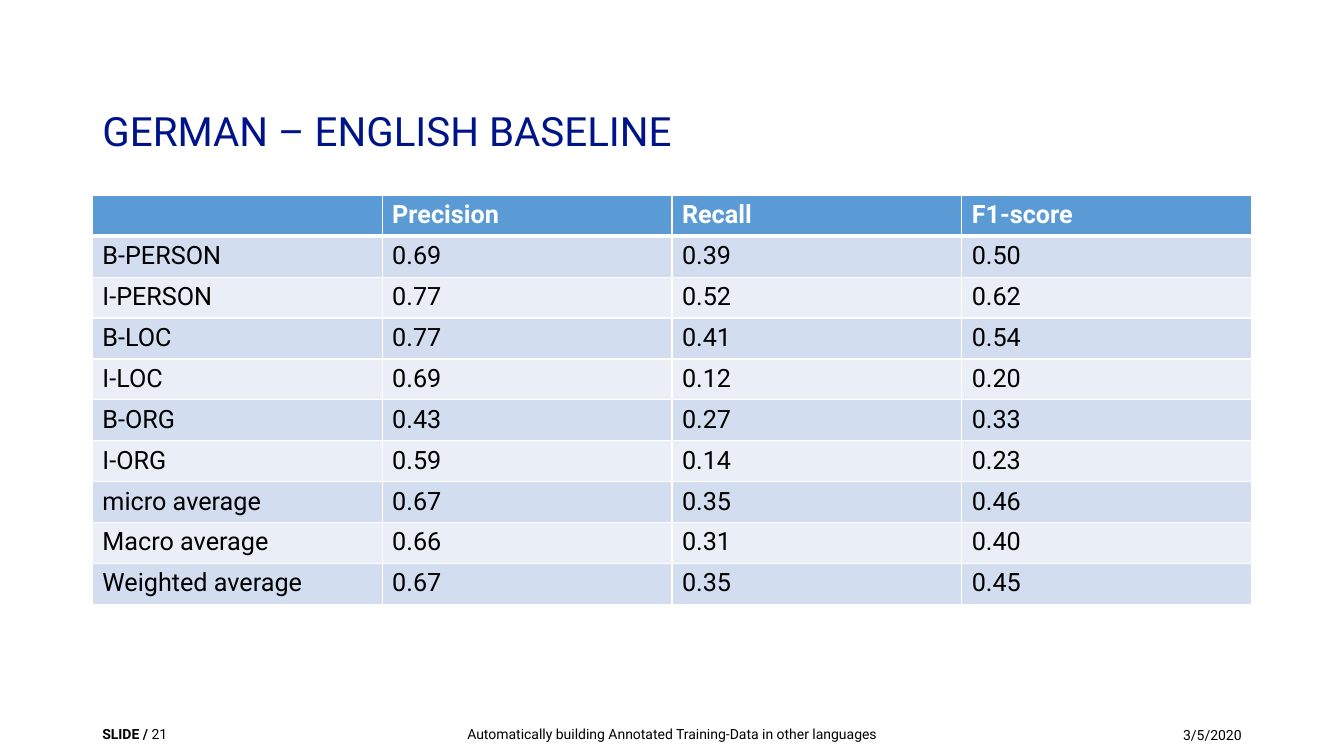
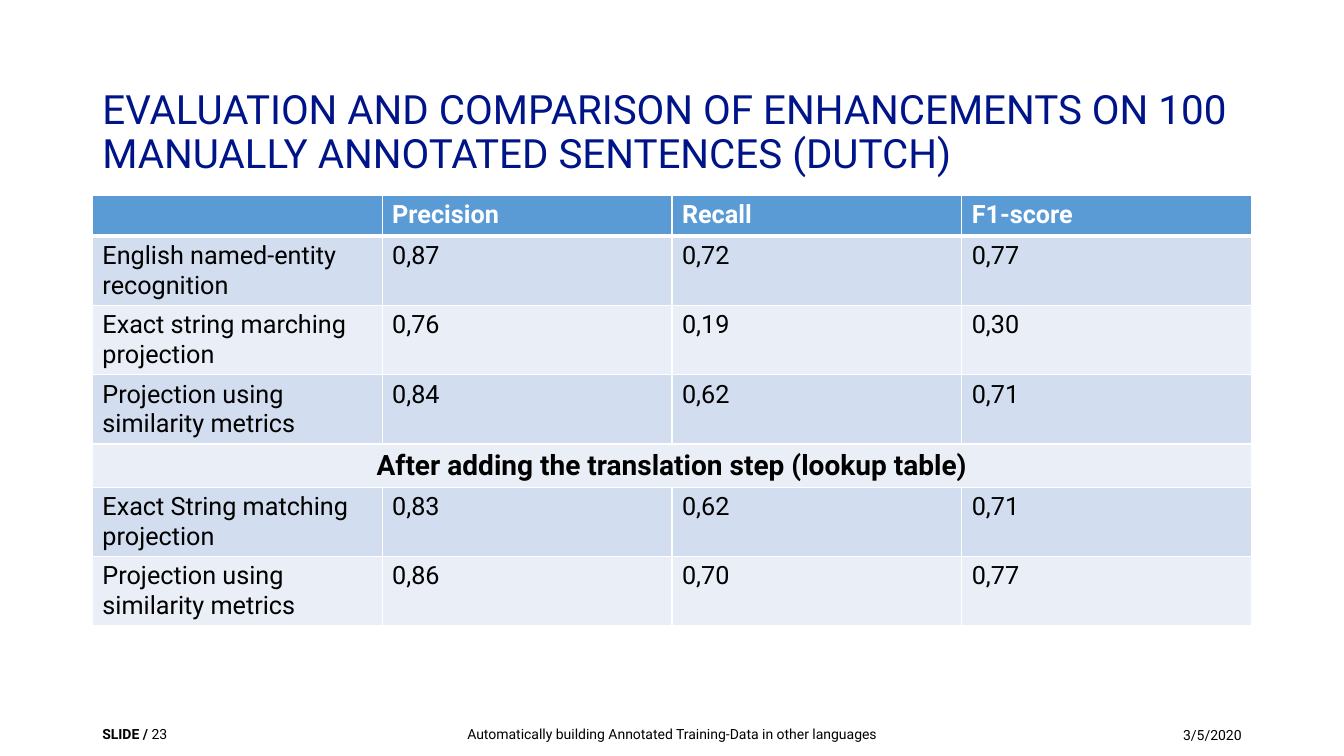
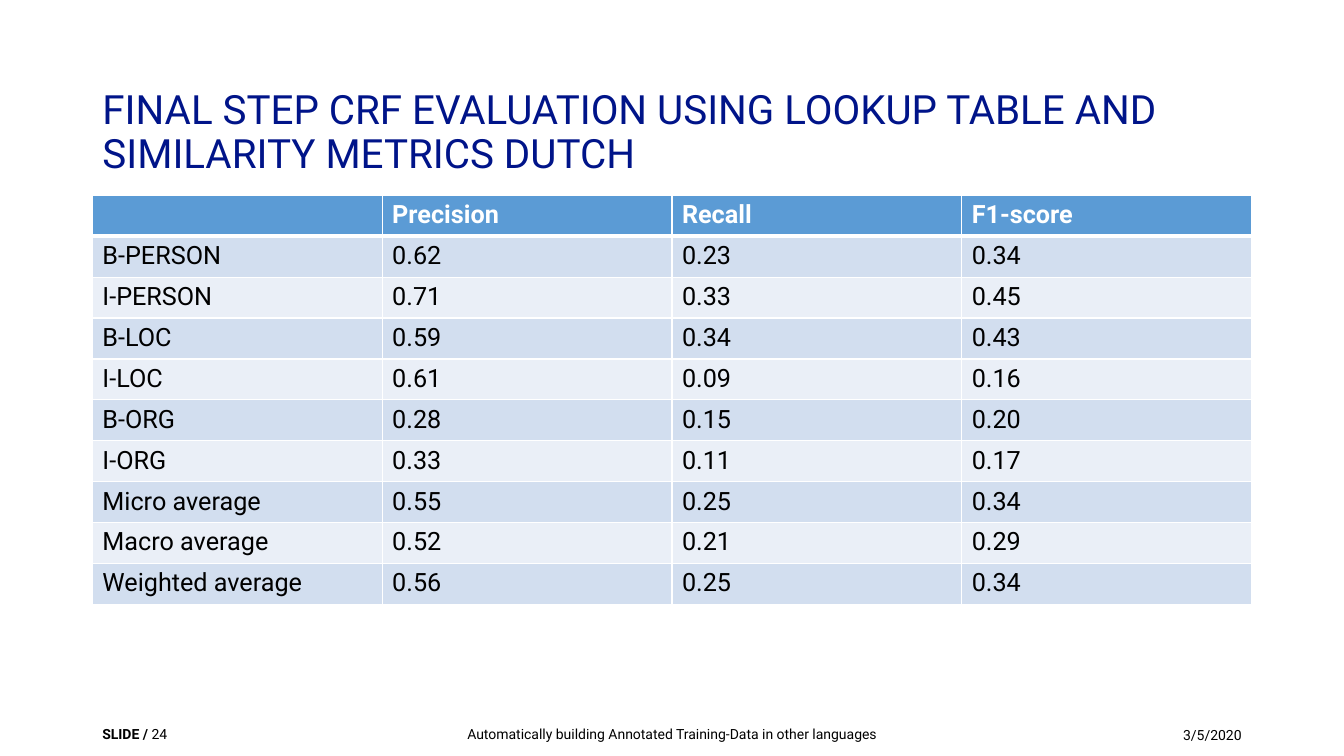
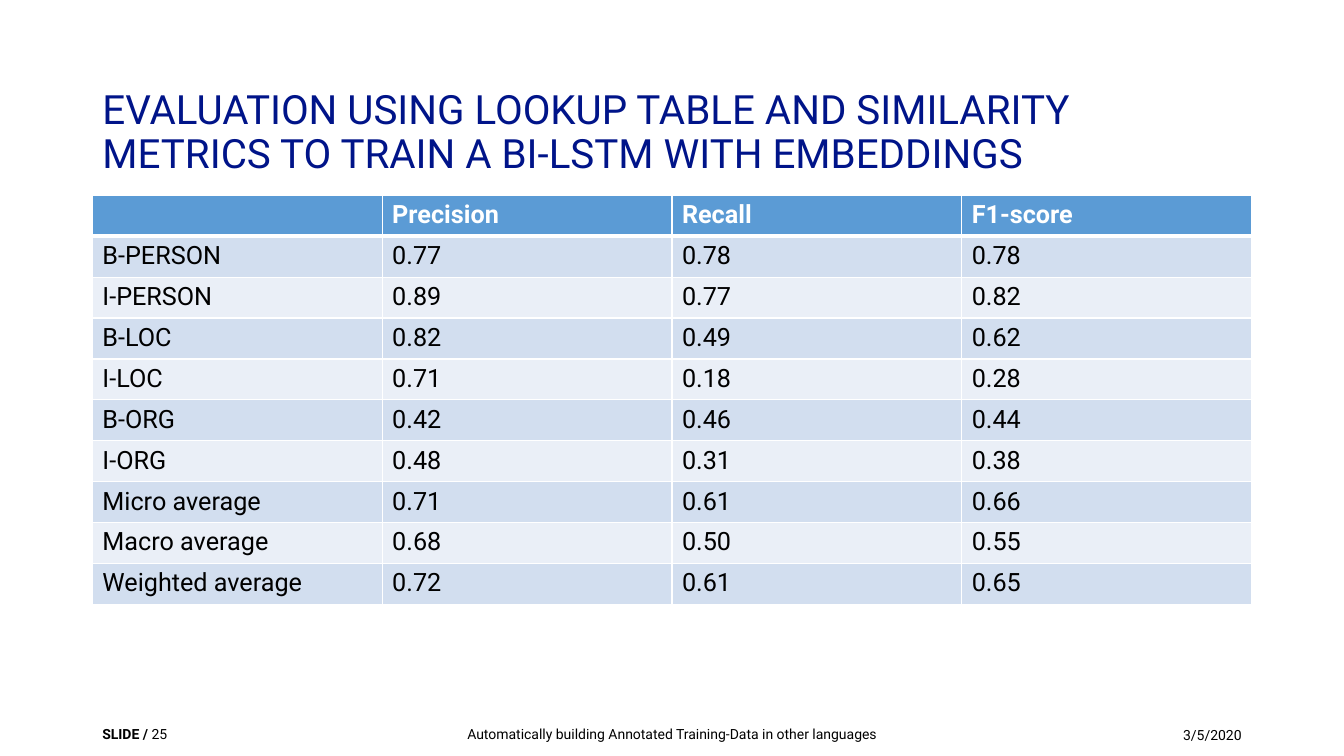
"""Build four slides of named-entity recognition results, one table each."""
from pptx import Presentation
from pptx import util as u
from pptx.dml.color import RGBColor
from pptx.enum import text
from pptx.oxml import parse_xml
from pptx.oxml.ns import nsdecls

EMU_PER_PX = 9525
FONT = "Roboto"
COLORS = {
    "title": "001489",
    "header": "5B9BD5",
    "odd_row": "D2DEEF",
    "even_row": "EAEFF7",
    "ink": "000000",
    "paper": "FFFFFF",
}
LEFT = 88
TABLE_TOP, COLUMN_WIDTH = 186, 276
LINE_ROW, SPAN_ROW, WRAPPED_ROW = 39, 41, 66
HEADINGS = ("", "Precision", "Recall", "F1-score")
DATE = "3/5/2020"
TALK = "Automatically building Annotated Training-Data in other languages"

ENTITIES = ("B-PERSON", "I-PERSON", "B-LOC", "I-LOC", "B-ORG", "I-ORG")
AVERAGES = ("Micro average", "Macro average", "Weighted average")


def label_scores(labels, scores):
    """Join each label with its row of precision, recall and F1."""
    return [(label, *line.split()) for label, line in zip(labels, scores, strict=True)]


BASELINE = label_scores(
    ENTITIES + ("micro average",) + AVERAGES[1:],
    ["0.69 0.39 0.50", "0.77 0.52 0.62", "0.77 0.41 0.54",
     "0.69 0.12 0.20", "0.43 0.27 0.33", "0.59 0.14 0.23",
     "0.67 0.35 0.46", "0.66 0.31 0.40", "0.67 0.35 0.45"])
ENHANCEMENTS = [
    ("English named-entity recognition", "0,87", "0,72", "0,77"),
    ("Exact string marching projection", "0,76", "0,19", "0,30"),
    ("Projection using similarity metrics", "0,84", "0,62", "0,71"),
    ("After adding the translation step (lookup table)",),
    ("Exact String matching projection", "0,83", "0,62", "0,71"),
    ("Projection using similarity metrics", "0,86", "0,70", "0,77"),
]
CRF = label_scores(
    ENTITIES + AVERAGES,
    ["0.62 0.23 0.34", "0.71 0.33 0.45", "0.59 0.34 0.43",
     "0.61 0.09 0.16", "0.28 0.15 0.20", "0.33 0.11 0.17",
     "0.55 0.25 0.34", "0.52 0.21 0.29", "0.56 0.25 0.34"])
BI_LSTM = label_scores(
    ENTITIES + AVERAGES,
    ["0.77 0.78 0.78", "0.89 0.77 0.82", "0.82 0.49 0.62",
     "0.71 0.18 0.28", "0.42 0.46 0.44", "0.48 0.31 0.38",
     "0.71 0.61 0.66", "0.68 0.50 0.55", "0.72 0.61 0.65"])

SLIDES = [
    (21, "GERMAN – ENGLISH BASELINE", BASELINE, LINE_ROW),
    (23, "EVALUATION AND COMPARISON OF ENHANCEMENTS ON 100 "
         "MANUALLY ANNOTATED SENTENCES (DUTCH)", ENHANCEMENTS, WRAPPED_ROW),
    (24, "FINAL STEP CRF EVALUATION USING LOOKUP TABLE AND "
         "SIMILARITY METRICS DUTCH", CRF, LINE_ROW),
    (25, "EVALUATION USING LOOKUP TABLE AND SIMILARITY "
         "METRICS TO TRAIN A BI-LSTM WITH EMBEDDINGS", BI_LSTM, LINE_ROW),
]


def px(length):
    """Turn px into EMU."""
    return u.Emu(length * EMU_PER_PX)


def add_run(paragraph, words, size, color="ink", bold=False):
    """Append one formatted run."""
    run = paragraph.add_run()
    run.text = words
    run.font.name = FONT
    run.font.size = u.Pt(size)
    run.font.bold = bold
    run.font.color.rgb = RGBColor.from_string(COLORS[color])


def set_title(slide, words):
    """Place and format the title placeholder."""
    title = slide.shapes.title
    title.left, title.top, title.width, title.height = map(px, (LEFT, 100, 1102, 54))
    frame = title.text_frame
    frame.word_wrap = True
    frame.auto_size = text.MSO_AUTO_SIZE.NONE
    frame.vertical_anchor = text.MSO_ANCHOR.MIDDLE
    paragraph = frame.paragraphs[0]
    paragraph.alignment = text.PP_ALIGN.LEFT
    paragraph.line_spacing = 0.9
    add_run(paragraph, words, 28.8, "title")


def add_footer_part(slide, left, top, width, align, runs):
    """Add one footer text made of (words, bold) runs."""
    box = slide.shapes.add_textbox(*map(px, (left, top, width, 41)))
    frame = box.text_frame
    frame.word_wrap = True
    frame.vertical_anchor = text.MSO_ANCHOR.MIDDLE
    paragraph = frame.paragraphs[0]
    paragraph.alignment = align
    for words, bold in runs:
        add_run(paragraph, words, 10, bold=bold)


def add_footer(slide, number):
    """Add slide number, talk title and date."""
    align = text.PP_ALIGN
    add_footer_part(slide, 904, 679, 288, align.RIGHT, [(DATE, False)])
    add_footer_part(slide, 424, 678, 432, align.CENTER, [(TALK, False)])
    add_footer_part(slide, LEFT, 678, 251, align.LEFT,
                    [("SLIDE / ", True), (str(number), False)])


def set_borders(cell, row):
    """Draw white cell borders, thick between header and body."""
    widths = {"L": 1, "R": 1, "T": 3 if row == 1 else 1, "B": 3 if row == 0 else 1}
    properties = cell._tc.get_or_add_tcPr()
    for side, width in widths.items():
        properties.append(parse_xml(
            f'<a:ln{side} {nsdecls("a")} w="{u.Pt(width)}"><a:solidFill>'
            f'<a:srgbClr val="{COLORS["paper"]}"/></a:solidFill></a:ln{side}>'))


def row_fill(row):
    """Name the fill colour of a table row."""
    if row == 0:
        return "header"
    return "odd_row" if row % 2 else "even_row"


def add_score_table(slide, scores, body_height):
    """Add the score table; a row with a single entry spans all columns."""
    rows = [HEADINGS, *scores]
    heights = [LINE_ROW] + [SPAN_ROW if len(entries) == 1 else body_height
                            for entries in scores]
    columns = len(HEADINGS)
    table = slide.shapes.add_table(
        len(rows), columns, px(LEFT), px(TABLE_TOP),
        px(columns * COLUMN_WIDTH), px(sum(heights))).table
    table.horz_banding = False
    for column in table.columns:
        column.width = px(COLUMN_WIDTH)
    for row, (entries, height) in enumerate(zip(rows, heights)):
        table.rows[row].height = px(height)
        for column in range(columns):
            cell = table.cell(row, column)
            set_borders(cell, row)
            cell.fill.solid()
            cell.fill.fore_color.rgb = RGBColor.from_string(COLORS[row_fill(row)])
        spanning = len(entries) == 1
        if spanning:
            table.cell(row, 0).merge(table.cell(row, columns - 1))
        for column, words in enumerate(entries):
            if words:
                paragraph = table.cell(row, column).text_frame.paragraphs[0]
                if spanning:
                    paragraph.alignment = text.PP_ALIGN.CENTER
                add_run(paragraph, words, 20 if spanning else 18,
                        "ink" if row else "paper", bold=spanning or row == 0)


def main():
    """Build and save the presentation."""
    deck = Presentation()
    deck.slide_width, deck.slide_height = px(1280), px(720)
    title_only = deck.slide_layouts[5]
    for number, title, scores, body_height in SLIDES:
        slide = deck.slides.add_slide(title_only)
        set_title(slide, title)
        add_score_table(slide, scores, body_height)
        add_footer(slide, number)
    deck.save("out.pptx")


if __name__ == "__main__":
    main()
